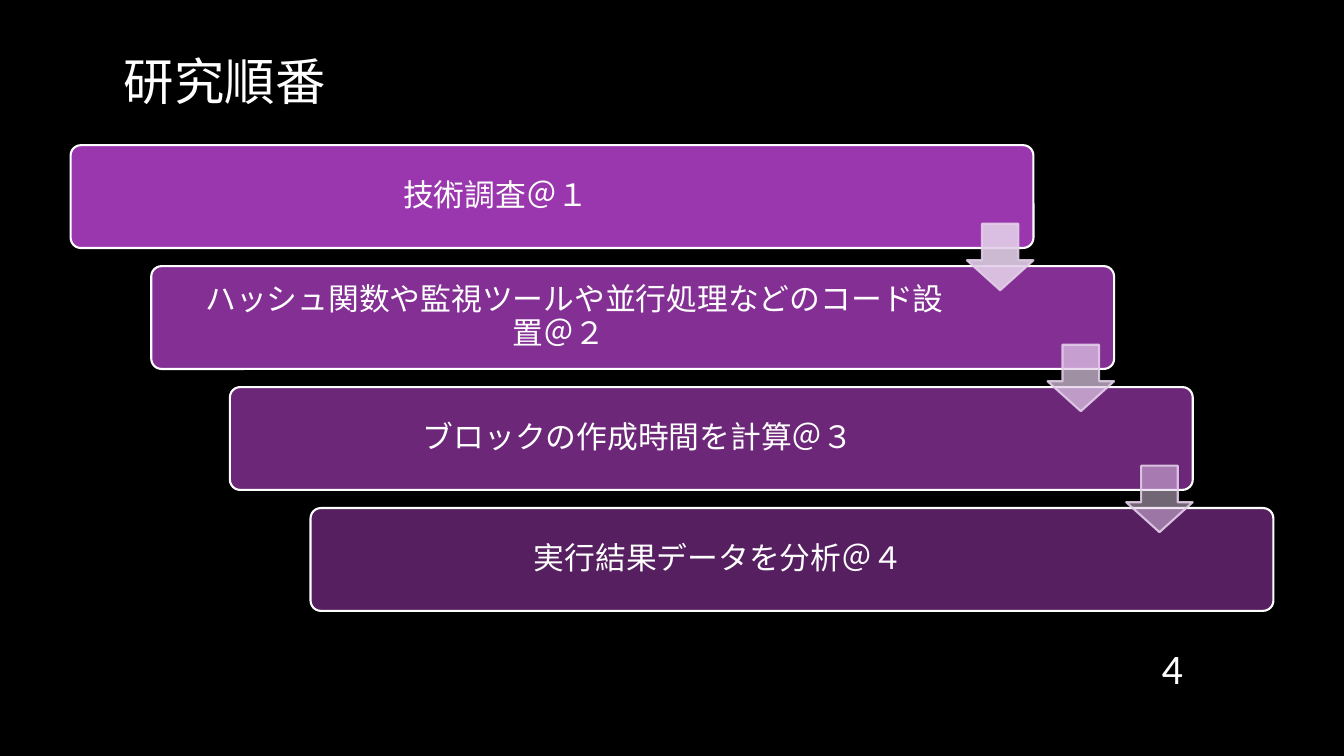
import pptx
import pptx.util
import pptx.dml.color
import pptx.enum.shapes
import pptx.enum.text
import pptx.oxml
import pptx.oxml.ns
import lxml.etree

Inches = pptx.util.Inches
Pt = pptx.util.Pt
RGBColor = pptx.dml.color.RGBColor
MSO_SHAPE = pptx.enum.shapes.MSO_SHAPE
PP_ALIGN = pptx.enum.text.PP_ALIGN
qn = pptx.oxml.ns.qn

BLACK = RGBColor(0x00, 0x00, 0x00)
WHITE = RGBColor(0xFF, 0xFF, 0xFF)
PURPLE = RGBColor(0xAC, 0x3E, 0xC1)
LILAC = RGBColor(0xE3, 0xCE, 0xE9)
JAPANESE_FONT = "Noto Sans CJK JP"

presentation = pptx.Presentation()
presentation.slide_width = Inches(13.33)
presentation.slide_height = Inches(7.5)
slide = presentation.slides.add_slide(presentation.slide_layouts[6])
slide.background.fill.solid()
slide.background.fill.fore_color.rgb = BLACK


def add_text(text, left, top, width, height, size, font_name, alignment, inset=None):
    box = slide.shapes.add_textbox(Inches(left), Inches(top), Inches(width), Inches(height))
    frame = box.text_frame
    frame.word_wrap = True
    frame.vertical_anchor = pptx.enum.text.MSO_ANCHOR.MIDDLE
    if inset is not None:
        for side in ("left", "top", "right", "bottom"):
            setattr(frame, f"margin_{side}", Inches(inset))
    paragraph = frame.paragraphs[0]
    paragraph.alignment = alignment
    run = paragraph.add_run()
    run.text = text
    for name, value in {"name": font_name, "size": Pt(size)}.items():
        setattr(run.font, name, value)
    run.font.color.rgb = WHITE
    # East Asian typeface follows the latin one
    east_asian = lxml.etree.SubElement(run.font._element, qn("a:ea"))
    east_asian.set("typeface", font_name)
    return paragraph


def add_block(kind, left, top, width, height, adjustments, fill, opacity, line, line_opacity):
    shape = slide.shapes.add_shape(kind, Inches(left), Inches(top), Inches(width), Inches(height))
    shape.shadow.inherit = False
    for index, value in enumerate(adjustments):
        shape.adjustments[index] = value
    shape.line.width = Pt(1.5)
    for format_fill, color, percent in (
        (shape.fill, fill, opacity),
        (shape.line.fill, line, line_opacity),
    ):
        format_fill.solid()
        format_fill.fore_color.rgb = color
        if percent < 100:
            solid = format_fill._xPr.find(qn("a:solidFill"))
            alpha = lxml.etree.SubElement(solid[0], qn("a:alpha"))
            alpha.set("val", str(percent * 1000))


# Title
add_text("研究順番", 1.13, 0, 11.08, 1.59, 36, JAPANESE_FONT, PP_ALIGN.LEFT)

# Staircase of steps: text, left edge, text width, opacity
STEP_TOP, STEP_PITCH, STEP_WIDTH, STEP_HEIGHT = 1.44, 1.2, 9.55, 1.02
steps = [
    ("技術調査＠１", 0.7, 8.37, 90),
    ("　ハッシュ関数や監視ツールや並行処理などのコード設置＠２", 1.5, 8.03, 77),
    ("ブロックの作成時間を計算＠３", 2.28, 8.04, 63),
    ("実行結果データを分析＠４", 3.08, 8.03, 50),
]
for index, (text, left, text_width, opacity) in enumerate(steps):
    top = STEP_TOP + index * STEP_PITCH
    add_block(MSO_SHAPE.ROUNDED_RECTANGLE, left, top, STEP_WIDTH, STEP_HEIGHT,
              [0.1], PURPLE, opacity, WHITE, 100)
    paragraph = add_text(text, left + 0.03, top + 0.03, text_width, 0.96,
                         22, JAPANESE_FONT, PP_ALIGN.CENTER, inset=0.09)
    paragraph.line_spacing = 0.9

# Arrows at the right end of each step but the last
ARROW_SIZE = 0.66
for index, opacity in enumerate((90, 70, 50)):
    left = steps[index][1] + STEP_WIDTH - ARROW_SIZE
    top = STEP_TOP + index * STEP_PITCH + 0.78
    add_block(MSO_SHAPE.DOWN_ARROW, left, top, ARROW_SIZE, ARROW_SIZE,
              [0.55, 0.45], LILAC, opacity, LILAC, 90)

# Page number
add_text("4", 11.23, 6.42, 0.6, 0.41, 30, "Calibri", PP_ALIGN.RIGHT)

presentation.save("out.pptx")
